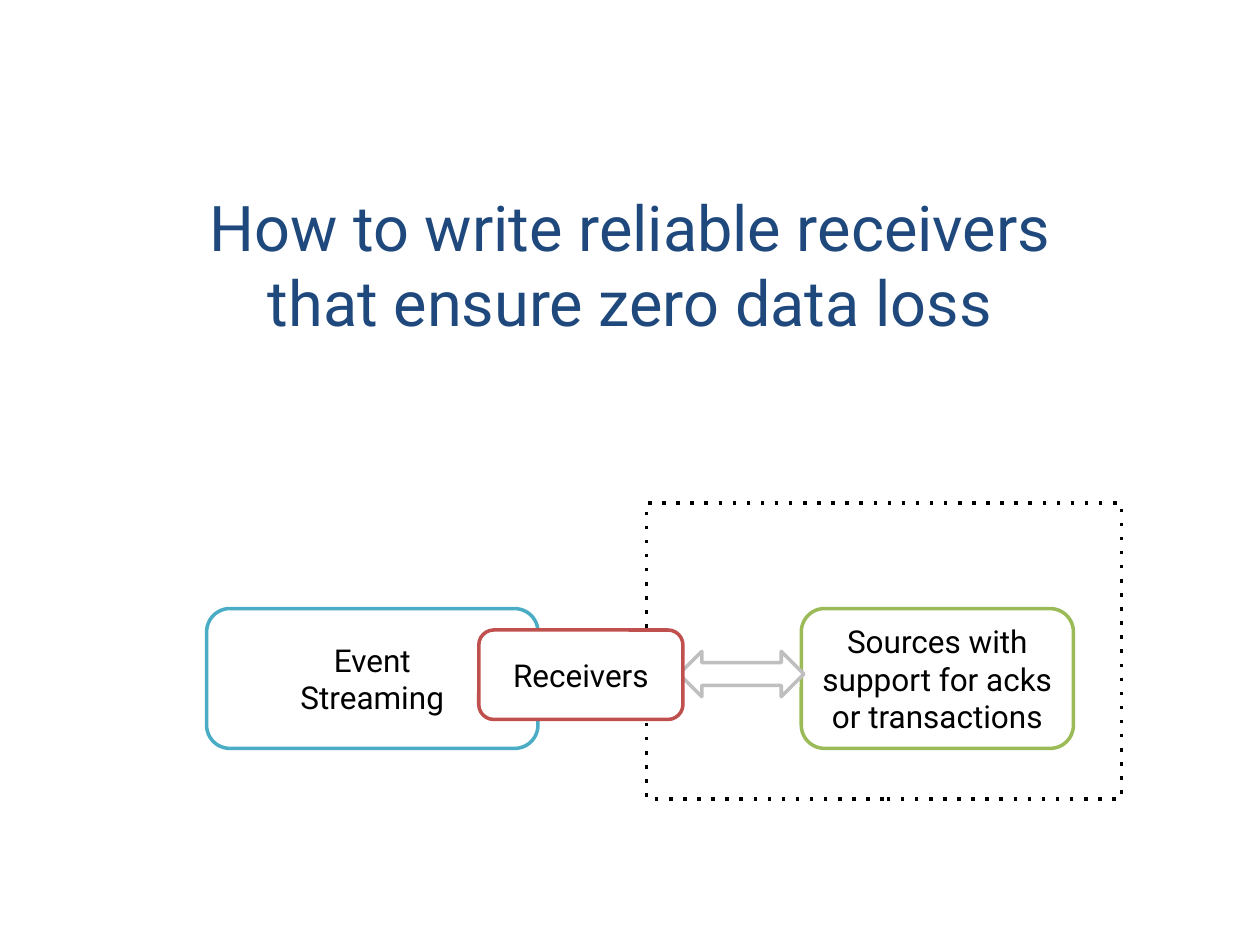
from pptx import Presentation
from pptx.dml.color import RGBColor
from pptx.enum import dml, shapes, text
from pptx.oxml.ns import qn
from pptx.util import Inches, Pt

THEME = {
    "font": "Roboto",
    "title_size": 36, "body_size": 18, "line_width": 2,
    "title": "1F497D", "text": "000000", "fill": "FFFFFF",
    "engine": "4BACC6", "receiver": "C0504D", "source": "9BBB59",
    "arrow": "BFBFBF", "frame": "000000",
}

# Content: kind, line colour, (left, top, width, height), paragraphs
TITLE = ["How to write reliable receivers that ensure zero data loss"]
TITLE_BOX = (1.29, 1.62, 7.42, 0.95)
ROUNDED = shapes.MSO_SHAPE.ROUNDED_RECTANGLE
ENGINE = (ROUNDED, "engine", (1.64, 4.83, 2.63, 1.11), ["Event", "Streaming"])
SOURCE_PARTS = [
    (shapes.MSO_SHAPE.RECTANGLE, "frame", (5.13, 3.99, 3.77, 2.35), []),
    (ROUNDED, "source", (6.36, 4.83, 2.16, 1.11),
     ["Sources with support for acks or transactions"]),
    (shapes.MSO_SHAPE.LEFT_RIGHT_ARROW, "arrow", (5.39, 5.17, 0.99, 0.36), []),
]
RECEIVER = (ROUNDED, "receiver", (3.8, 5, 1.62, 0.71), ["Receivers"])


def color(name):
    return RGBColor.from_string(THEME[name])


def write_text(shape, lines, size, color_name):
    frame = shape.text_frame
    frame_format = {
        "text": "\n".join(lines),
        "word_wrap": True,
        "auto_size": text.MSO_AUTO_SIZE.NONE,
        "vertical_anchor": text.MSO_ANCHOR.MIDDLE,
    }
    for name, value in frame_format.items():
        setattr(frame, name, value)
    for paragraph in frame.paragraphs:
        paragraph.alignment = text.PP_ALIGN.CENTER
        for run in paragraph.runs:
            for name, value in {"name": THEME["font"], "size": Pt(THEME[size])}.items():
                setattr(run.font, name, value)
            run.font.color.rgb = color(color_name)


def add_part(container, kind, line_color, box, lines):
    shape = container.add_shape(kind, *map(Inches, box))
    shape.shadow.inherit = False
    shape.line.color.rgb = color(line_color)
    shape.line.width = Pt(THEME["line_width"])
    if line_color == "frame":
        shape.fill.background()
        # Widely spaced dots have no public dash style
        shape.line.dash_style = dml.MSO_LINE.ROUND_DOT
        for dash in shape.element.iter(qn("a:prstDash")):
            dash.set("val", "dot")
    else:
        shape.fill.solid()
        shape.fill.fore_color.rgb = color("fill")
    if lines:
        write_text(shape, lines, "body_size", "text")


def main():
    presentation = Presentation()
    presentation.slide_width, presentation.slide_height = Inches(10), Inches(7.5)
    slide = presentation.slides.add_slide(presentation.slide_layouts.get_by_name("Title Only"))

    # Title
    title = slide.shapes.title
    for name, value in zip(("left", "top", "width", "height"), TITLE_BOX):
        setattr(title, name, Inches(value))
    write_text(title, TITLE, "title_size", "title")

    # Streaming engine, grouped sources, then the receivers on top
    add_part(slide.shapes, *ENGINE)
    source_group = slide.shapes.add_group_shape()
    for part in SOURCE_PARTS:
        add_part(source_group.shapes, *part)
    add_part(slide.shapes, *RECEIVER)

    presentation.save("out.pptx")


if __name__ == "__main__":
    main()
